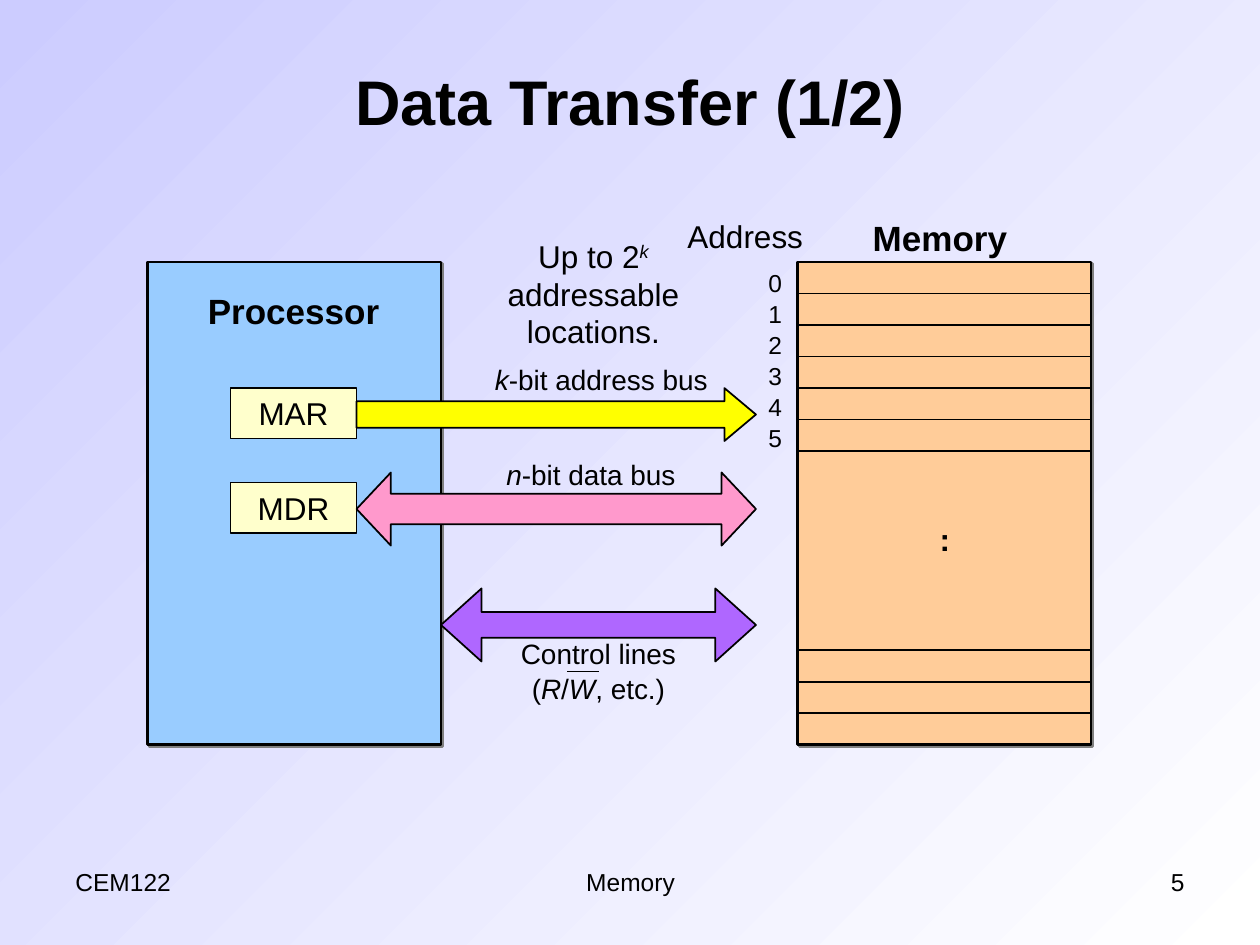
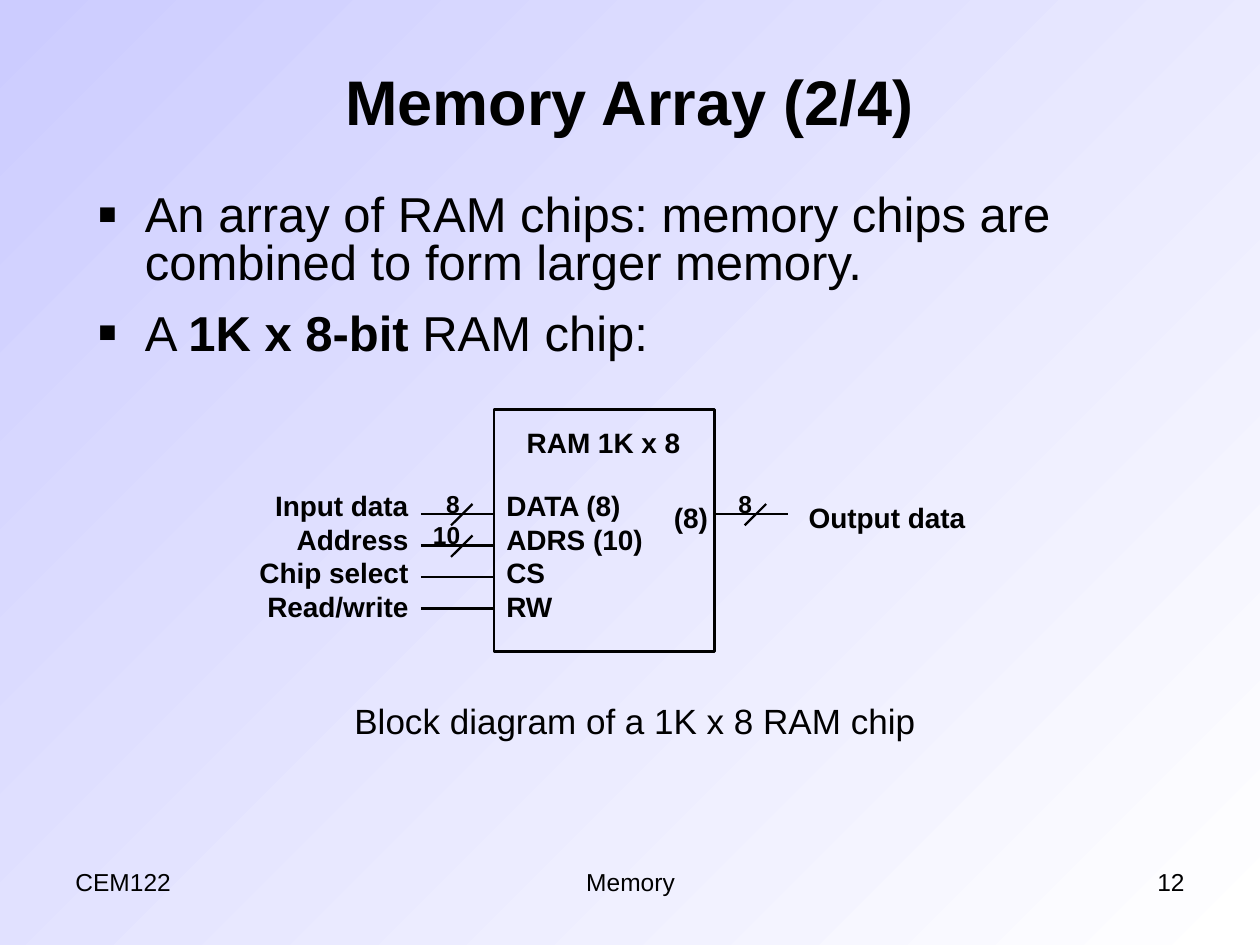
from lxml import etree
from pptx import Presentation
from pptx.dml.color import RGBColor
from pptx.enum import shapes, text
from pptx.oxml import ns
from pptx.util import Inches, Pt

COLORS = {
    "ink": "000000", "sky": "CCCCFF", "white": "FFFFFF", "shade": "808080",
    "processor": "99CCFF", "register": "FFFFCC", "memory": "FFCC99",
    "address": "FFFF00", "data": "FF99CC", "control": "AF67FF",
}
FONT = "Arial"
LEFT, CENTER, RIGHT = text.PP_ALIGN.LEFT, text.PP_ALIGN.CENTER, text.PP_ALIGN.RIGHT
SHAPE = shapes.MSO_SHAPE


def color(name):
    """Return the named colour."""
    return RGBColor.from_string(COLORS[name])


def place(shape, left, top, width, height):
    """Move and size a shape in inches."""
    shape.left, shape.top = Inches(left), Inches(top)
    shape.width, shape.height = Inches(width), Inches(height)


def add_runs(paragraph, runs, size):
    """Add (words, style) runs; style letters are b, i and ^ for superscript."""
    for words, style in runs:
        run = paragraph.add_run()
        run.text = words
        font = run.font
        font.name, font.size = FONT, Pt(size)
        font.bold, font.italic = "b" in style, "i" in style
        font.color.rgb = color("ink")
        if "^" in style:
            font._element.set("baseline", "30000")


def write(frame, paragraphs, size, align=LEFT, gap=0):
    """Fill a text frame with paragraphs of runs."""
    frame.word_wrap = True
    for index, runs in enumerate(paragraphs):
        paragraph = frame.paragraphs[0] if index == 0 else frame.add_paragraph()
        paragraph.alignment = align
        if index and gap:
            paragraph.space_before = Pt(gap)
        add_runs(paragraph, runs, size)


def label(slide, box, paragraphs, size, align=CENTER, style="", gap=0):
    """Add a text box; plain strings become one-run paragraphs."""
    caption = slide.shapes.add_textbox(*map(Inches, box))
    runs = [[(p, style)] if isinstance(p, str) else p for p in paragraphs]
    write(caption.text_frame, runs, size, align, gap)


def block(slide, kind, box, fill=None, weight=1.0, shadow=False, adjust=()):
    """Add an outlined preset shape, with an optional hard shadow."""
    shape = slide.shapes.add_shape(kind, *map(Inches, box))
    shape.shadow.inherit = False
    if fill:
        shape.fill.solid()
        shape.fill.fore_color.rgb = color(fill)
    else:
        shape.fill.background()
    shape.line.color.rgb = color("ink")
    shape.line.width = Pt(weight)
    for index, value in enumerate(adjust):
        shape.adjustments[index] = value
    if shadow:
        effects = shape._element.spPr.find(ns.qn("a:effectLst"))
        outer = etree.SubElement(effects, ns.qn("a:outerShdw"), dist=str(Pt(1.4)),
                                 dir="2700000", algn="ctr", rotWithShape="0")
        etree.SubElement(outer, ns.qn("a:srgbClr"), val=COLORS["shade"])
    return shape


def line(slide, x1, y1, x2, y2, weight=1.0):
    """Draw a straight black line."""
    ends = map(Inches, (x1, y1, x2, y2))
    rule = slide.shapes.add_connector(shapes.MSO_CONNECTOR.STRAIGHT, *ends)
    rule.line.color.rgb = color("ink")
    rule.line.width = Pt(weight)
    etree.SubElement(rule._element.spPr, ns.qn("a:effectLst"))


def set_background(master):
    """Give every slide the diagonal gradient."""
    fill = master.background.fill
    fill.gradient()
    fill.gradient_angle = 315
    for stop, name in zip(fill.gradient_stops, ("sky", "white")):
        stop.color.rgb = color(name)


def new_slide(prs, layout, heading, number, title_box):
    """Add a slide with its title and footer."""
    slide = prs.slides.add_slide(prs.slide_layouts[layout])
    title = slide.shapes.title
    place(title, *title_box)
    write(title.text_frame, [[(heading, "b")]], 36, CENTER)
    title.text_frame.vertical_anchor = text.MSO_ANCHOR.MIDDLE
    title.text_frame.auto_size = text.MSO_AUTO_SIZE.NONE
    footer = (("CEM122", 0.5, 2.33, LEFT), ("Memory", 3.42, 3.17, CENTER),
              (str(number), 7.17, 2.33, RIGHT))
    for words, left, width, align in footer:
        label(slide, (left, 6.83, width, 0.52), [words], 14, align)
    return slide


def processor(slide, left, top, width, height):
    """Draw the processor with its two registers."""
    block(slide, SHAPE.RECTANGLE, (left, top, width, height), "processor", 1.5, True)
    label(slide, (left + 0.37, top + 0.17, 1.58, 0.44), ["Processor"], 20, style="b")
    for index, name in enumerate(("MAR", "MDR")):
        box = (left + 0.66, top + 1 + 0.75 * index, 1, 0.4)
        register = block(slide, SHAPE.RECTANGLE, box, "register")
        register.text_frame.vertical_anchor = text.MSO_ANCHOR.MIDDLE
        write(register.text_frame, [[(name, "")]], 18, CENTER)


def memory(slide, left, top, width, height, row=0.25):
    """Draw the memory with its rows and addresses."""
    block(slide, SHAPE.RECTANGLE, (left, top, width, height), "memory", 1.5, True)
    label(slide, (left + 0.34, top - 0.41, 1.58, 0.44), ["Memory"], 20, style="b")
    label(slide, (left - 1, top - 0.41, 1.17, 0.4), ["Address"], 18)
    label(slide, (left - 0.33, top, 0.33, 1.56), [str(n) for n in range(6)], 14, LEFT, gap=0.9)
    first_rows = [top + row * n for n in range(1, 7)]
    last_rows = [top + height - row * n for n in (3, 2, 1)]
    for y in first_rows + last_rows:
        line(slide, left, y, left + width, y)
    label(slide, (left + 0.92, top + 2, 0.5, 0.4), [":"], 18, style="b")


def buses(slide, left, top, right):
    """Draw the three buses and their captions between left and right."""
    both = SHAPE.LEFT_RIGHT_ARROW
    arrows = (
        (SHAPE.RIGHT_ARROW, left, 1, 0.42, "address", (0.5, 0.596)),
        (both, left, 1.67, 0.58, "data", (0.417, 0.47)),
        (both, left + 0.67, 2.59, 0.58, "control", (0.351, 0.556)),
    )
    for kind, start, drop, height, fill, adjust in arrows:
        block(slide, kind, (start, top + drop, right - start, height), fill, adjust=adjust)
    label(slide, (left + 0.84, top - 0.25, 2.08, 1),
          [[("Up to 2", ""), ("k", "i^"), (" addressable locations.", "")]], 18)
    label(slide, (left + 1, top + 0.75, 1.92, 0.37),
          [[("k", "i"), ("-bit address bus", "")]], 16, LEFT)
    label(slide, (left + 1.09, top + 1.5, 1.67, 0.37),
          [[("n", "i"), ("-bit data bus", "")]], 16, LEFT)
    read_write = [("(", ""), ("R", "i"), ("/", ""), ("W", "i"), (", etc.)", "")]
    label(slide, (left + 1.17, top + 2.92, 1.5, 0.65), ["Control lines", read_write], 16, gap=1)
    line(slide, left + 1.67, top + 3.25, left + 1.92, top + 3.25)


def bullet_list(body, box, items):
    """Fill the body placeholder with square-bulleted items."""
    place(body, *box)
    frame = body.text_frame
    frame.auto_size = text.MSO_AUTO_SIZE.NONE
    write(frame, items, 28, gap=14)
    frame.paragraphs[0].space_before = Pt(0)
    for paragraph in frame.paragraphs:
        paragraph.line_spacing = 0.8
        props = paragraph._p.get_or_add_pPr()
        props.set("marL", str(Inches(0.38)))
        props.set("indent", str(-Inches(0.38)))
        tint = etree.SubElement(props, ns.qn("a:buClr"))
        etree.SubElement(tint, ns.qn("a:srgbClr"), val=COLORS["ink"])
        etree.SubElement(props, ns.qn("a:buSzPct"), val="120000")
        etree.SubElement(props, ns.qn("a:buFont"), typeface=FONT)
        etree.SubElement(props, ns.qn("a:buChar"), char="▪")


def ram_chip(slide, left, top, width, height):
    """Draw the RAM chip with its input and output lines."""
    right, wire, pins = left + width, 0.58, top + 0.83
    block(slide, SHAPE.RECTANGLE, (left, top, width, height), weight=1.5)
    label(slide, (left + 0.08, top + 0.08, 1.58, 0.37), ["RAM 1K x 8"], 16, style="b")
    label(slide, (left, top + 0.58, 1.33, 1.17),
          ["DATA (8)", "ADRS (10)", "CS", "RW"], 16, LEFT, "b")
    label(slide, (left - 2, top + 0.58, 1.42, 1.17),
          ["Input data", "Address", "Chip select", "Read/write"], 16, RIGHT, "b")
    for index in range(4):
        y = pins + 0.25 * index
        line(slide, left - wire, y, left, y, 1.5)
    line(slide, right, pins, right + wire, pins, 1.5)
    label(slide, (right - 0.42, top + 0.67, 0.5, 0.37), ["(8)"], 16, LEFT, "b")
    label(slide, (right + wire, top + 0.67, 1.58, 0.37), ["Output data"], 16, style="b")
    widths = (("8", left - 0.5, 0.35, left - 0.17, pins),
              ("10", left - 0.59, 0.43, left - 0.17, pins + 0.25),
              ("8", right + 0.08, 0.33, right + 0.41, pins))
    for bits, x, span, slash, y in widths:
        line(slide, slash, y - 0.08, slash - 0.17, y + 0.09, 1.25)
        label(slide, (x, y - 0.25, span, 0.34), [bits], 14, style="b")
    label(slide, (left - 1.42, top + 2.25, 5.08, 0.44),
          ["Block diagram of a 1K x 8 RAM chip"], 20)


def data_transfer(prs):
    """Build the slide on data transfer."""
    slide = new_slide(prs, 5, "Data Transfer (1/2)", 5, (0.75, 0.17, 8.5, 1.25))
    processor(slide, 1.17, 2.08, 2.33, 3.83)
    memory(slide, 6.33, 2.08, 2.33, 3.83)
    buses(slide, 2.83, 2.08, 6)


def memory_array(prs):
    """Build the slide on memory arrays."""
    slide = new_slide(prs, 1, "Memory Array (2/4)", 12, (0.12, 0.17, 9.75, 1.25))
    bullet_list(slide.placeholders[1], (0.67, 1.5, 8.5, 1.58), [
        [("An array of RAM chips: memory chips are combined to form larger memory.", "")],
        [("A ", ""), ("1K x 8-bit", "b"), (" RAM chip:", "")],
    ])
    ram_chip(slide, 3.92, 3.25, 1.75, 1.92)


def main():
    """Build and save the presentation."""
    prs = Presentation()
    prs.slide_width, prs.slide_height = Inches(10), Inches(7.5)
    set_background(prs.slide_master)
    data_transfer(prs)
    memory_array(prs)
    prs.save("out.pptx")


if __name__ == "__main__":
    main()
